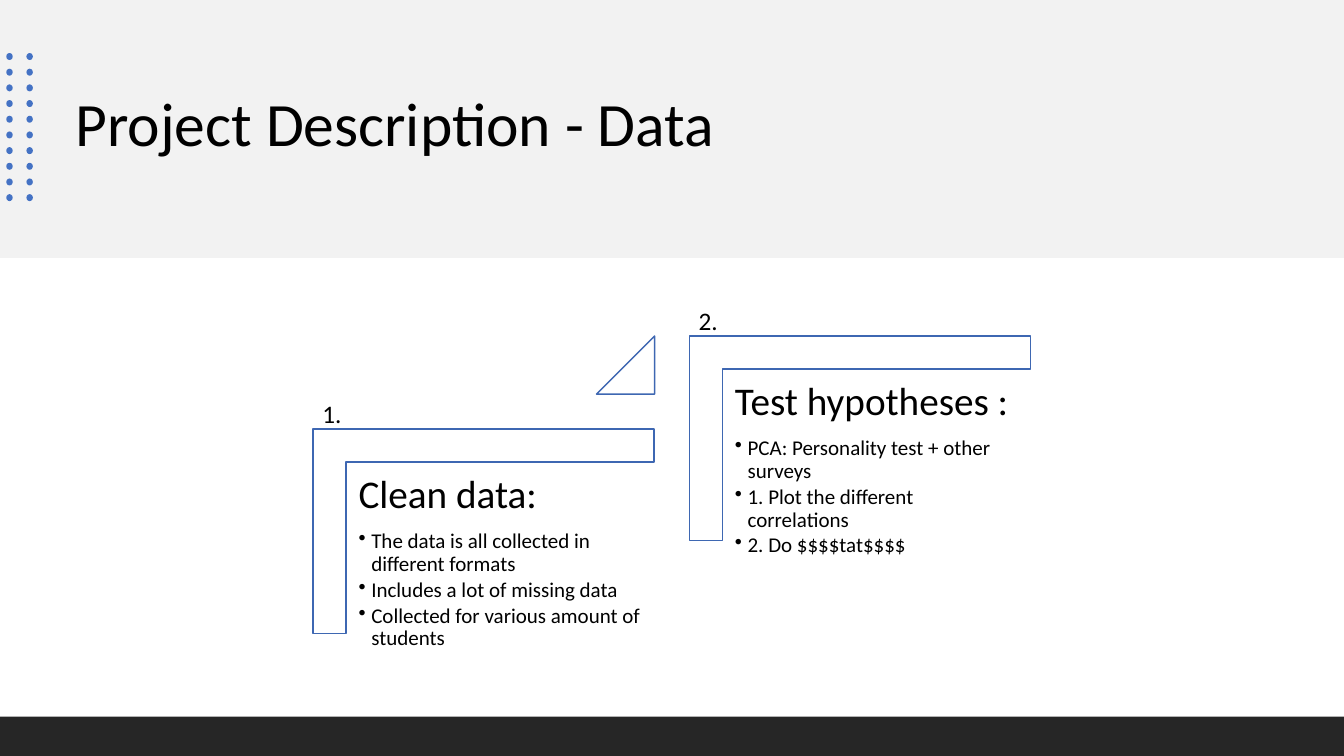
from dataclasses import dataclass
from itertools import product

from lxml.etree import SubElement
from pptx import Presentation
from pptx.dml.color import RGBColor as Rgb
from pptx.enum.shapes import MSO_SHAPE as Kind
from pptx.enum.text import MSO_ANCHOR as Anchor, MSO_AUTO_SIZE as Fit
from pptx.oxml.ns import qn
from pptx.shapes.autoshape import Shape
from pptx.text.text import TextFrame, _Paragraph as Para
from pptx.util import Pt


@dataclass(frozen=True)
class Theme:
    font: str = "Calibri"
    ink: str = "000000"
    paper: str = "FFFFFF"
    band: str = "F2F2F2"
    foot: str = "262626"
    dot: str = "4472C4"
    edge: str = "3E67B2"
    title: float = 44
    head: float = 28
    label: float = 18
    body: float = 15


@dataclass(frozen=True)
class Box:
    left: float
    top: float
    width: float
    height: float

    def points(self) -> tuple[Pt, Pt, Pt, Pt]:
        return Pt(self.left), Pt(self.top), Pt(self.width), Pt(self.height)


@dataclass(frozen=True)
class Step:
    left: float
    top: float
    label: str
    head: str
    items: tuple[str, ...]


theme = Theme()
WIDTH, HEIGHT = 960, 540
INSET = 8.4
INDENT = 9

deck = Presentation()
deck.slide_width, deck.slide_height = Pt(WIDTH), Pt(HEIGHT)
slide = deck.slides.add_slide(deck.slide_layouts[6])


def draw(kind: Kind, box: Box, fill: str, edge: str | None = None) -> Shape:
    shape = slide.shapes.add_shape(kind, *box.points())
    shape.shadow.inherit = False
    shape.fill.solid()
    shape.fill.fore_color.rgb = Rgb.from_string(fill)
    if edge:
        shape.line.color.rgb = Rgb.from_string(edge)
        shape.line.width = Pt(1)
    else:
        shape.line.fill.background()
    return shape


def frame(box: Box, wrap: bool = True) -> TextFrame:
    text = slide.shapes.add_textbox(*box.points()).text_frame
    text.word_wrap = wrap
    return text


def write(para: Para, words: str, size: float) -> None:
    para.text = words
    para.font.name = theme.font
    para.font.size = Pt(size)
    para.font.color.rgb = Rgb.from_string(theme.ink)


def bullet(para: Para) -> None:
    para.level = 1
    props = para._p.get_or_add_pPr()
    props.set("marL", str(Pt(INDENT)))
    props.set("indent", str(-Pt(INDENT)))
    mark = SubElement(props, qn("a:buChar"), char="•")
    props.find(qn("a:defRPr")).addprevious(mark)


def build(step: Step) -> None:
    wide, high = 243.6, 146
    turn = (wide - high) / 2
    corner = draw(Kind.CORNER, Box(step.left + turn, step.top - turn, high, wide),
                  theme.paper, theme.edge)
    corner.rotation = 90
    corner.adjustments[0] = corner.adjustments[1] = 0.161

    text = frame(Box(step.left + 24.2, step.top + 24.2, 219.6, 192.2))
    text.margin_left = text.margin_right = Pt(INSET)
    text.margin_top = text.margin_bottom = Pt(INSET)
    first = text.paragraphs[0]
    write(first, step.head, theme.head)
    first.line_spacing = 0.9
    first.space_after = Pt(theme.head * 0.35)
    for item in step.items:
        para = text.add_paragraph()
        write(para, item, theme.body)
        para.line_spacing = 0.9
        para.space_after = Pt(theme.body * 0.15)
        bullet(para)

    label = frame(Box(step.left - 0.4, step.top - 25.6, 32.4, 28.8), wrap=False)
    label.auto_size = Fit.SHAPE_TO_FIT_TEXT
    write(label.paragraphs[0], step.label, theme.label)


draw(Kind.RECTANGLE, Box(0, 0, WIDTH, 184.3), theme.band)
title = frame(Box(46.8, 26.6, 866, 127.4))
title.vertical_anchor = Anchor.MIDDLE
write(title.paragraphs[0], "Project Description - Data", theme.title)
title.paragraphs[0].line_spacing = 0.9

for row, col in product(range(10), range(2)):
    draw(Kind.OVAL, Box(4.5 + 14.4 * col, 37.9 + 11.2 * row, 4.6, 5), theme.dot)

draw(Kind.RECTANGLE, Box(0, 511.8, WIDTH, HEIGHT - 511.8), theme.foot)

steps = (
    Step(223.6, 306.5, "1. ", "Clean data: ", (
        "The data is all collected in different formats",
        "Includes a lot of missing data ",
        "Collected for various amount of students")),
    Step(492.4, 240.1, "2. ", "Test hypotheses :", (
        "PCA: Personality test + other surveys",
        "1. Plot the different correlations",
        "2. Do $$$$tat$$$$")),
)
for step in steps:
    build(step)

rise = draw(Kind.ISOSCELES_TRIANGLE, Box(426.1, 240, 41.5, 41.5), theme.paper, theme.edge)
rise.adjustments[0] = 1

deck.save("out.pptx")
